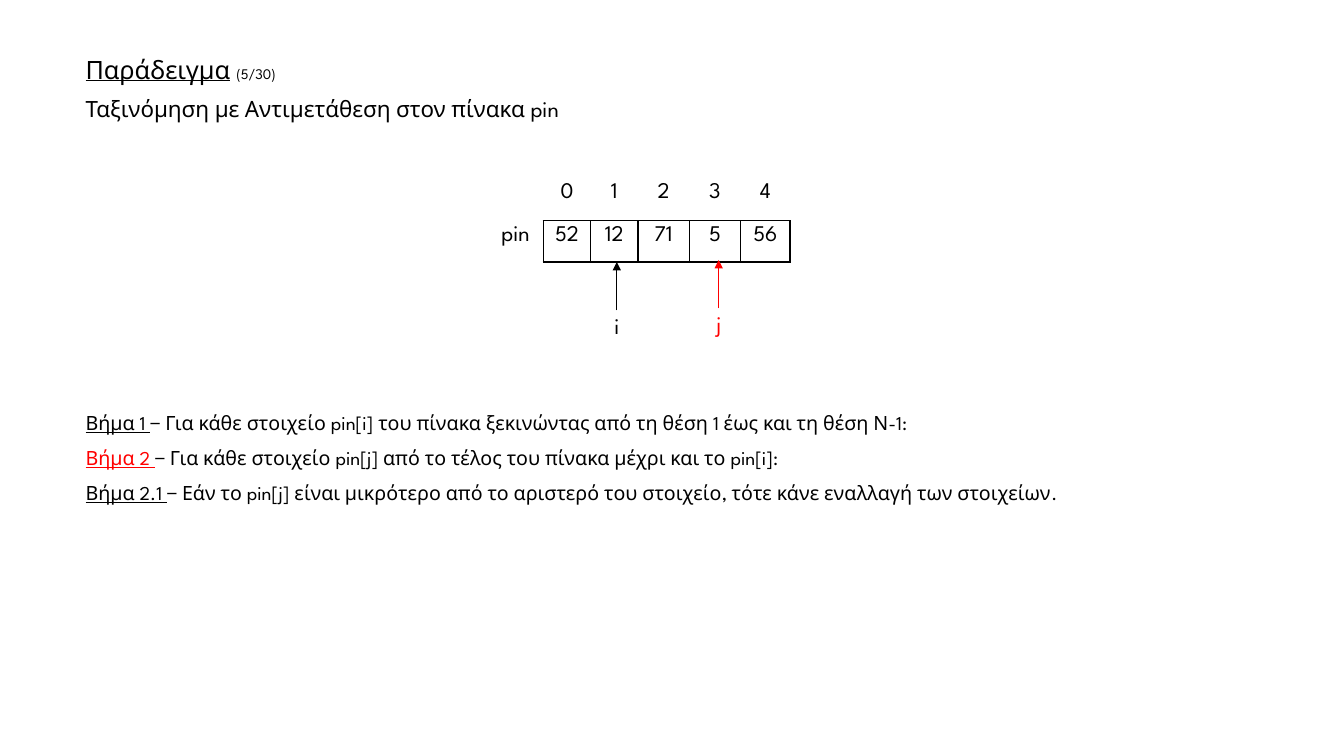
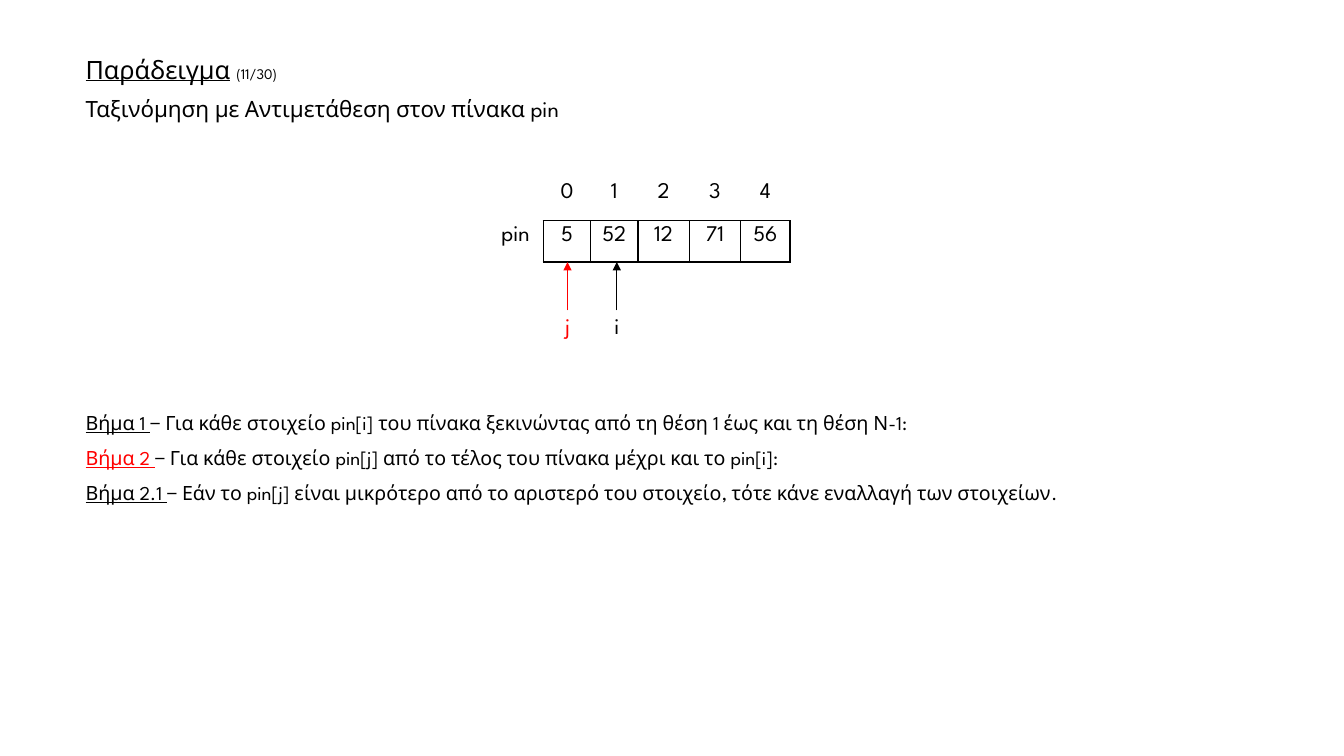
from lxml import etree
from pptx import Presentation
from pptx.dml.color import RGBColor
from pptx.enum import shapes, text
from pptx.oxml.ns import qn
from pptx.util import Pt

COLORS = {"ink": "000000", "active": "FF0000"}
FONT = "League Spartan"
NO_STYLE_TABLE = "{2D5ABB26-0587-4C30-8999-92F81FD0307C}"

HEADING = "Παράδειγμα"
SUBTITLE = "Ταξινόμηση με Αντιμετάθεση στον πίνακα pin"
ARRAY_NAME = "pin"
STEPS = [
    ("Βήμα 1 ", "− Για κάθε στοιχείο pin[i] του πίνακα ξεκινώντας από τη θέση 1 έως και τη θέση Ν-1:", "ink"),
    ("Βήμα 2 ", "− Για κάθε στοιχείο pin[j] από το τέλος του πίνακα μέχρι και το pin[i]:", "active"),
    ("Βήμα 2.1 ", "− Εάν το pin[j] είναι μικρότερο από το αριστερό του στοιχείο, "
                  "τότε κάνε εναλλαγή των στοιχείων.", "ink"),
]
# Each pointer: name, colour, centre x, top of its label
EXAMPLES = [
    {"counter": "(5/30)", "values": [52, 12, 71, 5, 56],
     "pointers": [("i", "ink", 440.6, 221.8), ("j", "active", 513.4, 220.3)]},
    {"counter": "(11/30)", "values": [5, 52, 12, 71, 56],
     "pointers": [("i", "ink", 440.6, 221.8), ("j", "active", 405.4, 221.8)]},
]

STEPS_BOX = (54, 281.5, 830, 80.6)
TITLE_BOX = (54, 37.4, 777, 55.4)
ARRAY_LEFT, ARRAY_TOP = 348.5, 126.7
COLUMN_WIDTHS = [39.6, 33.8, 33.8, 36.7, 36.7, 35.3]
ROW_HEIGHTS = [31, 29.5]
POINTER_WIDTH, POINTER_HEIGHT, ARROW_LENGTH = 17.3, 26, 34.6


def add_run(paragraph, content, size, color="ink", underline=False):
    run = paragraph.add_run()
    run.text = content
    style = {"name": FONT, "size": Pt(size), "underline": underline}
    for attribute, value in style.items():
        setattr(run.font, attribute, value)
    run.font.color.rgb = RGBColor.from_string(COLORS[color])


def add_textbox(slide, box):
    textbox = slide.shapes.add_textbox(*map(Pt, box))
    textbox.text_frame.word_wrap = True
    return textbox


def next_paragraph(frame, index, line_spacing):
    paragraph = frame.add_paragraph() if index else frame.paragraphs[0]
    paragraph.line_spacing = line_spacing
    return paragraph


def add_title(slide, counter):
    frame = add_textbox(slide, TITLE_BOX).text_frame
    heading = next_paragraph(frame, 0, 0.9)
    add_run(heading, HEADING, 18, underline=True)
    add_run(heading, " ", 18)
    add_run(heading, counter, 10.5)
    subtitle = next_paragraph(frame, 1, 0.9)
    subtitle.space_before = Pt(10)
    add_run(subtitle, SUBTITLE, 16)


def add_steps(slide):
    frame = add_textbox(slide, STEPS_BOX).text_frame
    frame.auto_size = text.MSO_AUTO_SIZE.SHAPE_TO_FIT_TEXT
    for index, (label, instruction, color) in enumerate(STEPS):
        paragraph = next_paragraph(frame, index, 1.5)
        add_run(paragraph, label, 14, color, underline=True)
        add_run(paragraph, instruction, 14)


def set_borders(cell, sides):
    """Draw 1 pt lines on the given sides, from the letters L, R, T and B in that order."""
    properties = cell._tc.get_or_add_tcPr()
    for side in sides:
        line = etree.SubElement(properties, qn(f"a:ln{side}"), w=str(Pt(1)))
        fill = etree.SubElement(line, qn("a:solidFill"))
        etree.SubElement(fill, qn("a:srgbClr"), val=COLORS["ink"])


def add_array(slide, values):
    rows = [["", *range(len(values))], [ARRAY_NAME, *values]]
    frame = slide.shapes.add_table(
        len(rows), len(COLUMN_WIDTHS), Pt(ARRAY_LEFT), Pt(ARRAY_TOP),
        Pt(sum(COLUMN_WIDTHS)), Pt(sum(ROW_HEIGHTS)))
    table = frame.table
    table.first_row = table.horz_banding = False
    table._tbl.tblPr.find(qn("a:tableStyleId")).text = NO_STYLE_TABLE
    for column, width in zip(table.columns, COLUMN_WIDTHS):
        column.width = Pt(width)
    for row, height in zip(table.rows, ROW_HEIGHTS):
        row.height = Pt(height)
    for r, row in enumerate(rows):
        for c, value in enumerate(row):
            cell = table.cell(r, c)
            if c:
                set_borders(cell, "LRTB" if r else "B")
            elif r:
                set_borders(cell, "R")
            cell.fill.background()
            if value != "":
                paragraph = cell.text_frame.paragraphs[0]
                paragraph.alignment = text.PP_ALIGN.CENTER
                add_run(paragraph, str(value), 16)


def add_pointer(slide, name, color, x, top):
    label = add_textbox(slide, (x - POINTER_WIDTH / 2, top, POINTER_WIDTH, POINTER_HEIGHT))
    label.text_frame.margin_left = label.text_frame.margin_right = 0
    paragraph = next_paragraph(label.text_frame, 0, 0.9)
    paragraph.alignment = text.PP_ALIGN.CENTER
    add_run(paragraph, name, 16, color)

    arrow = slide.shapes.add_connector(
        shapes.MSO_CONNECTOR.STRAIGHT, Pt(x), Pt(top), Pt(x), Pt(top - ARROW_LENGTH))
    arrow.begin_connect(label, 0)
    arrow.line.color.rgb = RGBColor.from_string(COLORS[color])
    arrow.line.width = Pt(0.5)
    etree.SubElement(arrow.line._get_or_add_ln(), qn("a:tailEnd"), type="triangle")
    etree.SubElement(arrow._element.spPr, qn("a:effectLst"))


def main():
    deck = Presentation()
    deck.slide_width, deck.slide_height = Pt(960), Pt(540)
    for example in EXAMPLES:
        slide = deck.slides.add_slide(deck.slide_layouts[6])
        add_steps(slide)
        add_title(slide, example["counter"])
        add_array(slide, example["values"])
        for pointer in example["pointers"]:
            add_pointer(slide, *pointer)
    deck.save("out.pptx")


if __name__ == "__main__":
    main()
